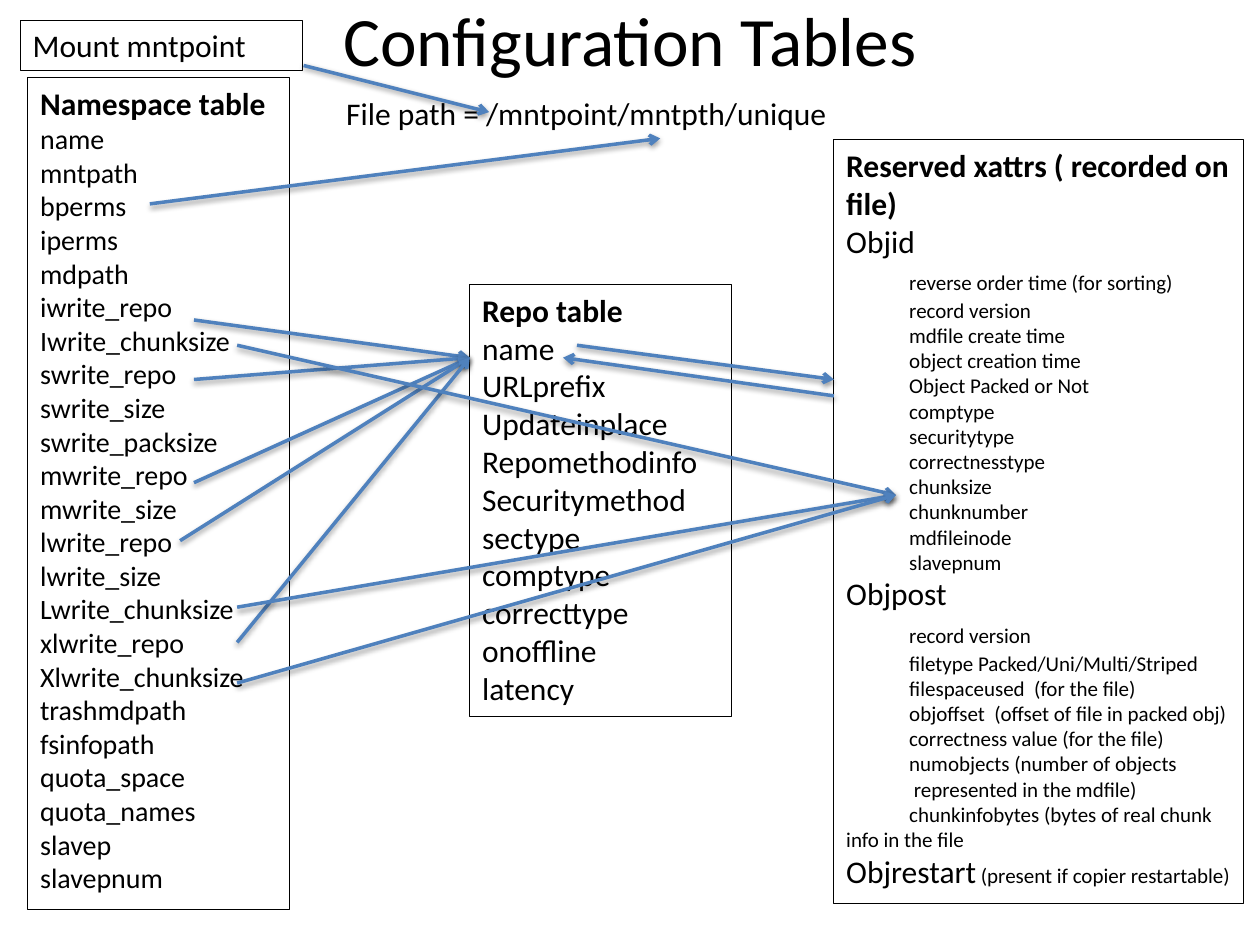
import dataclasses

import lxml.etree
import pptx
import pptx.dml.color
import pptx.enum.shapes
import pptx.enum.text
import pptx.oxml
import pptx.oxml.ns
import pptx.util

Cm = pptx.util.Cm
Pt = pptx.util.Pt
RGB = pptx.dml.color.RGBColor


@dataclasses.dataclass(frozen=True)
class Theme:
    face: str = "Calibri"
    ink: RGB = RGB(0x00, 0x00, 0x00)
    arrow: RGB = RGB(0x4F, 0x81, 0xBD)
    title: float = 39.6
    body: float = 18
    field: float = 16
    detail: float = 12


theme = Theme()

SHADOW = (
    '<a:effectLst xmlns:a="http://schemas.openxmlformats.org/drawingml/2006/main">'
    '<a:outerShdw blurRad="40000" dist="20000" dir="5400000" rotWithShape="0">'
    '<a:srgbClr val="000000"><a:alpha val="38000"/></a:srgbClr>'
    "</a:outerShdw></a:effectLst>"
)

prs = pptx.Presentation()
prs.slide_width, prs.slide_height = Cm(25.4), Cm(19.05)
s = prs.slides.add_slide(prs.slide_layouts[6])


def add_text(box, paragraphs, outlined=True):
    left, top, width, height = map(Cm, box)
    if outlined:
        sp = s.shapes.add_shape(pptx.enum.shapes.MSO_SHAPE.RECTANGLE, left, top, width, height)
        sp.shadow.inherit = False
        sp.fill.background()
        sp.line.color.rgb = theme.ink
        sp.line.width = Pt(0.75)
    else:
        sp = s.shapes.add_textbox(left, top, width, height)
    tf = sp.text_frame
    tf.word_wrap = True
    tf.vertical_anchor = pptx.enum.text.MSO_ANCHOR.TOP
    for i, (bold, runs) in enumerate(paragraphs):
        p = tf.paragraphs[0] if i == 0 else tf.add_paragraph()
        p.alignment = pptx.enum.text.PP_ALIGN.LEFT
        p.font.name = theme.face
        p.font.color.rgb = theme.ink
        p.font.bold = bold
        p.font.size = Pt(runs[0][1])
        for text, size in runs:
            r = p.add_run()
            r.text = text
            if len(runs) > 1:
                r.font.size = Pt(size)
    return tf


def add_arrow(start, end):
    cn = s.shapes.add_connector(
        pptx.enum.shapes.MSO_CONNECTOR.STRAIGHT, *map(Cm, start + end)
    )
    cn.line.color.rgb = theme.arrow
    cn.line.width = Pt(2)
    ln = cn.line._get_or_add_ln()
    lxml.etree.SubElement(ln, pptx.oxml.ns.qn("a:tailEnd"), type="arrow")
    cn._element.spPr.append(pptx.oxml.parse_xml(SHADOW))


tf = add_text((1.27, 0.23, 22.86, 1.09), [(False, [("Configuration Tables", theme.title)])], False)
tf.vertical_anchor = pptx.enum.text.MSO_ANCHOR.MIDDLE
tf.paragraphs[0].alignment = pptx.enum.text.PP_ALIGN.CENTER

namespace_fields = [
    "name", "mntpath", "bperms", "iperms", "mdpath", "iwrite_repo",
    "Iwrite_chunksize", "swrite_repo", "swrite_size", "swrite_packsize",
    "mwrite_repo", "mwrite_size", "lwrite_repo", "lwrite_size",
    "Lwrite_chunksize", "xlwrite_repo", "Xlwrite_chunksize", "trashmdpath",
    "fsinfopath", "quota_space", "quota_names", "slavep", "slavepnum",
]
repo_fields = [
    "name", "URLprefix", "Updateinplace", "Repomethodinfo", "Securitymethod",
    "sectype", "comptype", "correcttype", "onoffline", "latency",
]
for box, heading, fields, size in [
    ((0.56, 1.57, 5.28, 16.76), "Namespace table", namespace_fields, theme.field),
    ((9.47, 5.74, 5.28, 8.71), "Repo table", repo_fields, theme.body),
]:
    rows = [(True, [(heading, theme.body)])]
    rows += [(False, [(field, size)]) for field in fields]
    add_text(box, rows)

add_text((0.41, 0.41, 5.69, 1.02), [(False, [("Mount mntpoint", theme.body)])])
add_text(
    (6.73, 1.78, 11.81, 1.02),
    [(False, [("File path = /mntpoint/mntpth/unique", theme.body)])],
    False,
)

xattr_groups = {
    "Objid": [
        "reverse order time (for sorting)", "record version",
        "mdfile create time", "object creation time", "Object Packed or Not",
        "comptype", "securitytype", "correctnesstype", "chunksize",
        "chunknumber", "mdfileinode", "slavepnum",
    ],
    "Objpost": [
        "record version", "filetype Packed/Uni/Multi/Striped",
        "filespaceused  (for the file)",
        "objoffset  (offset of file in packed obj)",
        "correctness value (for the file)", "numobjects (number of objects",
        " represented in the mdfile)",
        "chunkinfobytes (bytes of real chunk \tinfo in the file",
    ],
}
rows = [(True, [("Reserved xattrs ( recorded on file)", theme.body)])]
for group, (first, *others) in xattr_groups.items():
    rows.append((False, [(group, theme.body)]))
    rows.append((False, [("\t", theme.body), (first, theme.detail)]))
    rows += [(False, [("\t" + other, theme.detail)]) for other in others]
rows.append((False, [("Objrestart", theme.body), (" (present if copier restartable)", theme.detail)]))
add_text((16.81, 2.82, 8.26, 15.39), rows)

repo_name = (9.47, 7.21)
chunksize = (18.06, 9.98)
for start in [(3.91, 6.45), (3.91, 7.65), (3.91, 9.73), (3.63, 10.9), (4.78, 12.95)]:
    add_arrow(start, repo_name)
for y in (6.96, 12.24, 13.77):
    add_arrow((4.78, y), chunksize)
for start, end in [
    ((16.81, 7.98), (11.35, 7.21)),
    ((6.12, 1.32), (9.86, 2.26)),
    ((11.63, 6.96), (16.81, 7.65)),
    ((3.02, 4.11), (13.31, 2.79)),
]:
    add_arrow(start, end)

prs.save("out.pptx")
